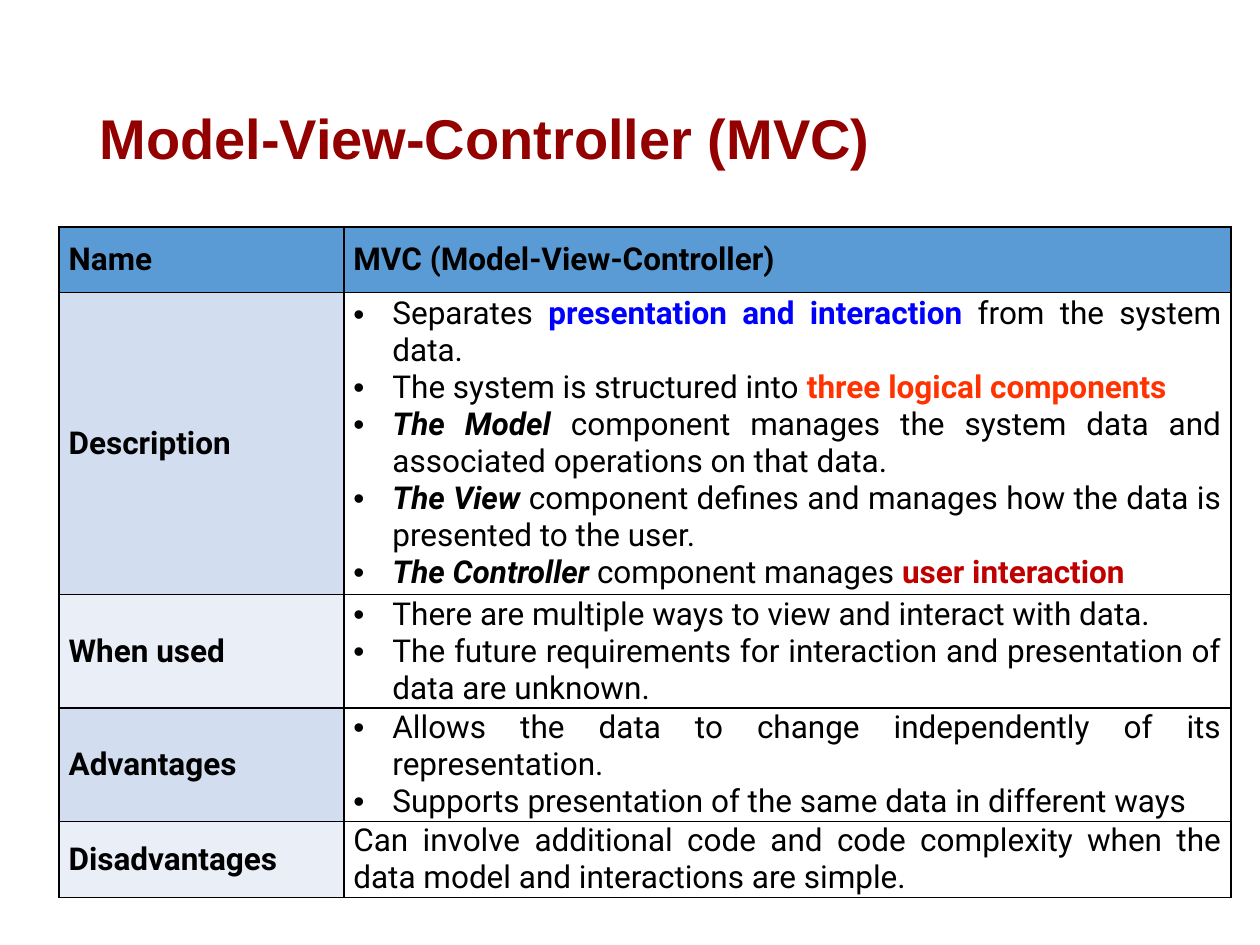
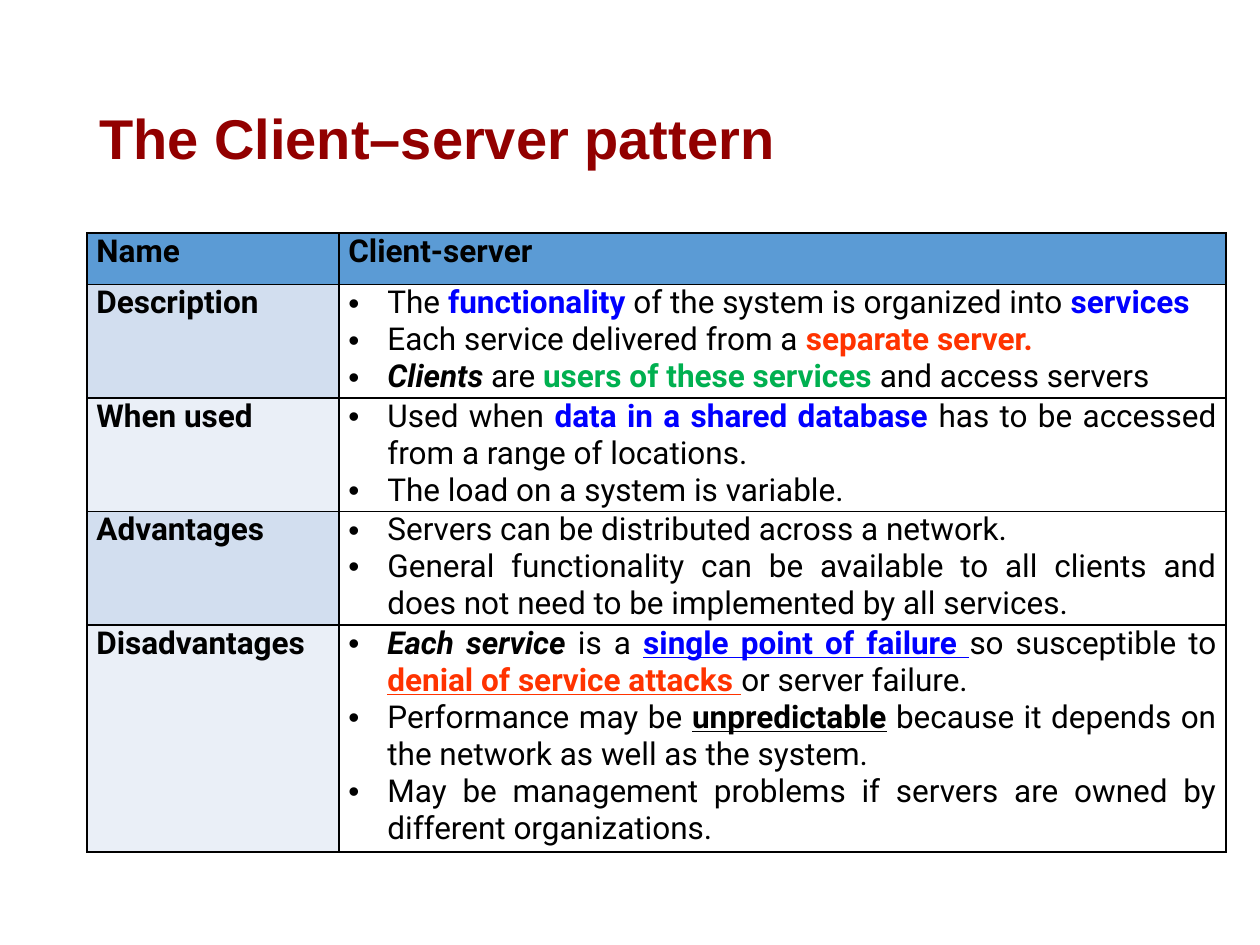
from lxml.etree import SubElement
from pptx import Presentation
from pptx.dml.color import RGBColor
from pptx.enum.text import MSO_ANCHOR, PP_ALIGN
from pptx.oxml.ns import qn
from pptx.util import Inches, Pt

# Grid of 100 columns by 75 rows on the slide
SLIDE_WIDTH, SLIDE_HEIGHT = Inches(10), Inches(7.5)
COLUMN, ROW = SLIDE_WIDTH / 100, SLIDE_HEIGHT / 75
TITLE_BOX = (6.9, 4, 86.2, 14.5)
DETAIL_COLUMNS = 70.4
LINE_ROWS = 2.93
CELL_MARGIN = 0.75
BULLET_INDENT = 3.1

TITLE_FONT, TABLE_FONT = "Arial", "Roboto"
TITLE_COLOR, TEXT_COLOR, BORDER_COLOR = "920000", "000000", "000000"
HEADER_FILL = "5B9BD5"
LABEL_FILLS = ("D2DEEF", "EAEFF7")

# Run styles used in the tables
STYLES = {
    "plain": {},
    "bold": {"bold": True},
    "term": {"bold": True, "italic": True},
    "blue": {"bold": True, "color": "0000FF"},
    "orange": {"bold": True, "color": "FF3300"},
    "red": {"bold": True, "color": "C00000"},
    "green": {"bold": True, "color": "00B050"},
    "blue line": {"bold": True, "color": "0000FF", "underline": True},
    "orange line": {"bold": True, "color": "FF3300", "underline": True},
    "bold line": {"bold": True, "underline": True},
}

# Each row: label, number of text lines, bullets (lists of runs) or plain text
MVC_ROWS = [
    ("Description", 8, [
        ["Separates ", ("presentation and interaction", "blue"), " from the system data. "],
        ["The system is structured into ", ("three logical components", "orange")],
        [("The Model ", "term"),
         "component manages the system data and associated operations on that data. "],
        [("The View", "term"),
         " component defines and manages how the data is presented to the user. "],
        [("The Controller ", "term"), "component manages ", ("user interaction", "red")],
    ]),
    ("When used", 3, [
        ["There are multiple ways to view and interact with data. "],
        ["The future requirements for interaction and presentation of data are unknown. "],
    ]),
    ("Advantages", 3, [
        ["Allows the data to change independently of its representation. "],
        ["Supports presentation of the same data in different ways"],
    ]),
    ("Disadvantages", 2, "Can involve additional code and code complexity when the "
                         "data model and interactions are simple."),
]
CLIENT_SERVER_ROWS = [
    ("Description", 3, [
        ["The ", ("functionality ", "blue"), "of the system is organized into ",
         ("services", "blue")],
        ["Each service delivered from a ", ("separate server. ", "orange")],
        [("Clients ", "term"), "are ", ("users of these services ", "green"),
         "and access servers"],
    ]),
    ("When used", 3, [
        ["Used when ", ("data in a shared database ", "blue"),
         "has to be accessed from a range of locations. "],
        ["The load on a system is variable."],
    ]),
    ("Advantages", 3, [
        ["Servers can be distributed across a network. "],
        ["General functionality can be available to all clients and does not need "
         "to be implemented by all services. "],
    ]),
    ("Disadvantages", 6, [
        [("Each service ", "term"), "is a ", ("single point of failure ", "blue line"),
         "so susceptible to ", ("denial of service attacks ", "orange line"),
         "or server failure. "],
        ["Performance may be ", ("unpredictable", "bold line"),
         " because it depends on the network as well as the system. "],
        ["May be management problems if servers are owned by different organizations."],
    ]),
]


def columns(count):
    return round(count * COLUMN)


def rows(count):
    return round(count * ROW)


def rgb(color):
    return RGBColor.from_string(color)


def add_run(paragraph, text, font, size, color=TEXT_COLOR, bold=False,
            italic=False, underline=False):
    run = paragraph.add_run()
    run.text = text
    run.font.name, run.font.size = font, Pt(size)
    run.font.color.rgb = rgb(color)
    run.font.bold, run.font.italic, run.font.underline = bold, italic, underline


def add_title(slide, box, text):
    left, top, width, height = box
    shape = slide.shapes.add_textbox(columns(left), rows(top), columns(width), rows(height))
    frame = shape.text_frame
    frame.word_wrap = True
    frame.vertical_anchor = MSO_ANCHOR.MIDDLE
    paragraph = frame.paragraphs[0]
    paragraph.line_spacing = 0.9
    add_run(paragraph, text, TITLE_FONT, 32, TITLE_COLOR, bold=True)


def add_bullet(paragraph):
    properties = paragraph._p.get_or_add_pPr()
    properties.set("marL", str(columns(BULLET_INDENT)))
    properties.set("indent", str(-columns(BULLET_INDENT)))
    SubElement(properties, qn("a:buFont"), typeface="Arial")
    SubElement(properties, qn("a:buChar"), char="•")


def add_borders(cell):
    properties = cell._tc.get_or_add_tcPr()
    for side in ("lnL", "lnR", "lnT", "lnB"):
        line = SubElement(properties, qn(f"a:{side}"), w=str(Pt(1)))
        fill = SubElement(line, qn("a:solidFill"))
        SubElement(fill, qn("a:srgbClr"), val=BORDER_COLOR)


def fill_cell(cell, content, anchor, style="plain", fill=None):
    add_borders(cell)
    if fill:
        cell.fill.solid()
        cell.fill.fore_color.rgb = rgb(fill)
    else:
        cell.fill.background()
    cell.vertical_anchor = anchor
    cell.margin_left = cell.margin_right = columns(CELL_MARGIN)
    cell.margin_top = cell.margin_bottom = 0

    bulleted = not isinstance(content, str)
    frame = cell.text_frame
    for index, runs in enumerate(content if bulleted else [[content]]):
        paragraph = frame.add_paragraph() if index else frame.paragraphs[0]
        paragraph.alignment = PP_ALIGN.JUSTIFY
        if bulleted:
            add_bullet(paragraph)
        for part in runs:
            text, run_style = (part, style) if isinstance(part, str) else part
            add_run(paragraph, text, TABLE_FONT, 18, **STYLES[run_style])


def add_pattern_table(slide, box, name, header_rows, pattern_rows, anchor):
    left, top, width = box
    heights = [header_rows] + [lines * LINE_ROWS for _, lines, _ in pattern_rows]
    table = slide.shapes.add_table(len(heights), 2, columns(left), rows(top),
                                   columns(width), rows(sum(heights))).table
    table.first_row = table.horz_banding = False
    for column, column_width in zip(table.columns, (width - DETAIL_COLUMNS, DETAIL_COLUMNS)):
        column.width = columns(column_width)
    for row, height in zip(table.rows, heights):
        row.height = rows(height)

    # Header row
    for index, text in enumerate(("Name", name)):
        fill_cell(table.cell(0, index), text, anchor, "bold", HEADER_FILL)
    # Label and detail rows
    for index, (label, _, detail) in enumerate(pattern_rows):
        label_fill = LABEL_FILLS[index % len(LABEL_FILLS)]
        fill_cell(table.cell(index + 1, 0), label, anchor, "bold", label_fill)
        fill_cell(table.cell(index + 1, 1), detail, anchor)


def add_pattern_slide(presentation, title, *table_parts):
    slide = presentation.slides.add_slide(presentation.slide_layouts[6])
    add_title(slide, TITLE_BOX, title)
    add_pattern_table(slide, *table_parts)


def main():
    presentation = Presentation()
    presentation.slide_width, presentation.slide_height = SLIDE_WIDTH, SLIDE_HEIGHT
    add_pattern_slide(presentation, "Model-View-Controller (MVC)", (4.7, 18, 93),
                      "MVC (Model-View-Controller)", 5.2, MVC_ROWS, MSO_ANCHOR.MIDDLE)
    add_pattern_slide(presentation, "The Client–server pattern", (6.9, 18.5, 90.4),
                      "Client-server", 4.1, CLIENT_SERVER_ROWS, MSO_ANCHOR.TOP)
    presentation.save("out.pptx")


if __name__ == "__main__":
    main()
